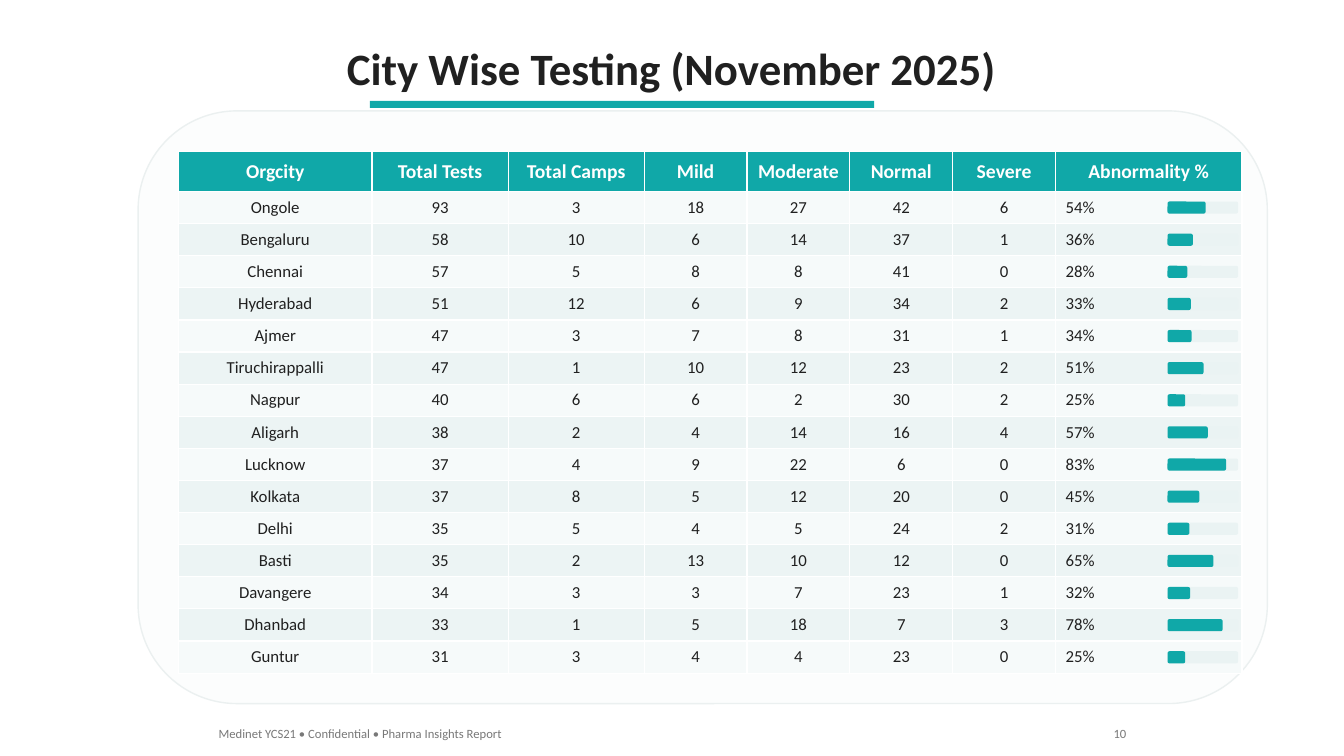
import dataclasses

import pptx
import pptx.dml.color
import pptx.enum.shapes
import pptx.enum.text
import pptx.util

Inches = pptx.util.Inches
ALIGN = pptx.enum.text.PP_ALIGN
SHAPE = pptx.enum.shapes.MSO_SHAPE


@dataclasses.dataclass(frozen=True)
class Theme:
    font: str = "Calibri"
    accent: str = "10A8A8"
    ink: str = "202020"
    muted: str = "787878"
    white: str = "FFFFFF"
    card: str = "FCFDFD"
    card_edge: str = "EBF0F0"
    bands: tuple = ("F6FAFA", "ECF4F4")
    track: str = "EAF3F3"
    title_size: int = 32
    header_size: int = 14
    body_size: int = 12
    footer_size: int = 9


class SlideBuilder:
    def __init__(self, slide, theme):
        self.slide = slide
        self.theme = theme

    def paint(self, fill, color):
        fill.solid()
        fill.fore_color.rgb = pptx.dml.color.RGBColor.from_string(color)

    def set_text(self, frame, text, size, color, align, bold=False):
        frame.text = text
        paragraph = frame.paragraphs[0]
        paragraph.alignment = align
        font = paragraph.runs[0].font
        font.name = self.theme.font
        font.size = pptx.util.Pt(size)
        font.bold = bold
        font.color.rgb = pptx.dml.color.RGBColor.from_string(color)

    def label(self, box, text, size, color, align, bold=False):
        frame = self.slide.shapes.add_textbox(*map(Inches, box)).text_frame
        frame.word_wrap = False
        self.set_text(frame, text, size, color, align, bold)

    def block(self, kind, box, color, edge=None):
        block = self.slide.shapes.add_shape(kind, *map(Inches, box))
        block.shadow.inherit = False
        self.paint(block.fill, color)
        if edge:
            block.line.color.rgb = pptx.dml.color.RGBColor.from_string(edge)
            block.line.width = pptx.util.Pt(1)
        else:
            block.line.fill.background()

    def grid(self, box, widths, heights, rows):
        theme = self.theme
        grid = self.slide.shapes.add_table(
            len(rows), len(widths), *map(Inches, box)).table
        for column, width in zip(grid.columns, widths):
            column.width = Inches(width)
        for row, height in zip(grid.rows, heights):
            row.height = Inches(height)
        for r, values in enumerate(rows):
            header = r == 0
            for c, value in enumerate(values):
                cell = grid.cell(r, c)
                cell.vertical_anchor = pptx.enum.text.MSO_ANCHOR.MIDDLE
                self.paint(cell.fill, theme.accent if header else theme.bands[(r - 1) % 2])
                percent = not header and c == len(values) - 1
                self.set_text(cell.text_frame, str(value),
                              theme.header_size if header else theme.body_size,
                              theme.white if header else theme.ink,
                              ALIGN.LEFT if percent else ALIGN.CENTER, header)

    def progress(self, left, top, width, height, share):
        self.block(SHAPE.ROUNDED_RECTANGLE, (left, top, width, height), self.theme.track)
        self.block(SHAPE.ROUNDED_RECTANGLE, (left, top, width * share, height),
                   self.theme.accent)


HEADINGS = ("Orgcity", "Total Tests", "Total Camps", "Mild", "Moderate",
            "Normal", "Severe", "Abnormality %")
CITIES = (
    ("Ongole", 93, 3, 18, 27, 42, 6, 54),
    ("Bengaluru", 58, 10, 6, 14, 37, 1, 36),
    ("Chennai", 57, 5, 8, 8, 41, 0, 28),
    ("Hyderabad", 51, 12, 6, 9, 34, 2, 33),
    ("Ajmer", 47, 3, 7, 8, 31, 1, 34),
    ("Tiruchirappalli", 47, 1, 10, 12, 23, 2, 51),
    ("Nagpur", 40, 6, 6, 2, 30, 2, 25),
    ("Aligarh", 38, 2, 4, 14, 16, 4, 57),
    ("Lucknow", 37, 4, 9, 22, 6, 0, 83),
    ("Kolkata", 37, 8, 5, 12, 20, 0, 45),
    ("Delhi", 35, 5, 4, 5, 24, 2, 31),
    ("Basti", 35, 2, 13, 10, 12, 0, 65),
    ("Davangere", 34, 3, 3, 7, 23, 1, 32),
    ("Dhanbad", 33, 1, 5, 18, 7, 3, 78),
    ("Guntur", 31, 3, 4, 4, 23, 0, 25),
)
COLUMN_WIDTHS = (1.92, 1.35, 1.35, 1.02, 1.02, 1.02, 1.02, 1.85)
TABLE_BOX = (1.77, 1.5, 10.57, 5.18)
HEADER_HEIGHT = 0.4
BAR_LEFT, BAR_WIDTH, BAR_HEIGHT = 11.58, 0.7, 0.12


def main():
    deck = pptx.Presentation()
    deck.slide_width, deck.slide_height = Inches(13.33), Inches(7.5)
    theme = Theme()
    builder = SlideBuilder(deck.slides.add_slide(deck.slide_layouts[6]), theme)

    builder.label((3.31, 0.35, 6.7, 0.64), "City Wise Testing (November 2025)",
                  theme.title_size, theme.ink, ALIGN.CENTER, True)
    builder.block(SHAPE.RECTANGLE, (3.67, 1, 5, 0.07), theme.accent)
    builder.block(SHAPE.ROUNDED_RECTANGLE, (1.37, 1.1, 11.2, 5.88),
                  theme.card, theme.card_edge)

    row_height = (TABLE_BOX[3] - HEADER_HEIGHT) / len(CITIES)
    city_rows = [(*city[:-1], f"{city[-1]}%") for city in CITIES]
    builder.grid(TABLE_BOX, COLUMN_WIDTHS,
                 [HEADER_HEIGHT] + [row_height] * len(CITIES),
                 [HEADINGS] + city_rows)

    first_bar = TABLE_BOX[1] + HEADER_HEIGHT + (row_height - BAR_HEIGHT) / 2
    for index, city in enumerate(CITIES):
        builder.progress(BAR_LEFT, first_bar + index * row_height,
                         BAR_WIDTH, BAR_HEIGHT, city[-1] / 100)

    builder.label((2.07, 7.15, 3.05, 0.25),
                  "Medinet YCS21 • Confidential • Pharma Insights Report",
                  theme.footer_size, theme.muted, ALIGN.LEFT)
    builder.label((10.94, 7.15, 0.33, 0.25), "10",
                  theme.footer_size, theme.muted, ALIGN.RIGHT)
    deck.save("out.pptx")


if __name__ == "__main__":
    main()
